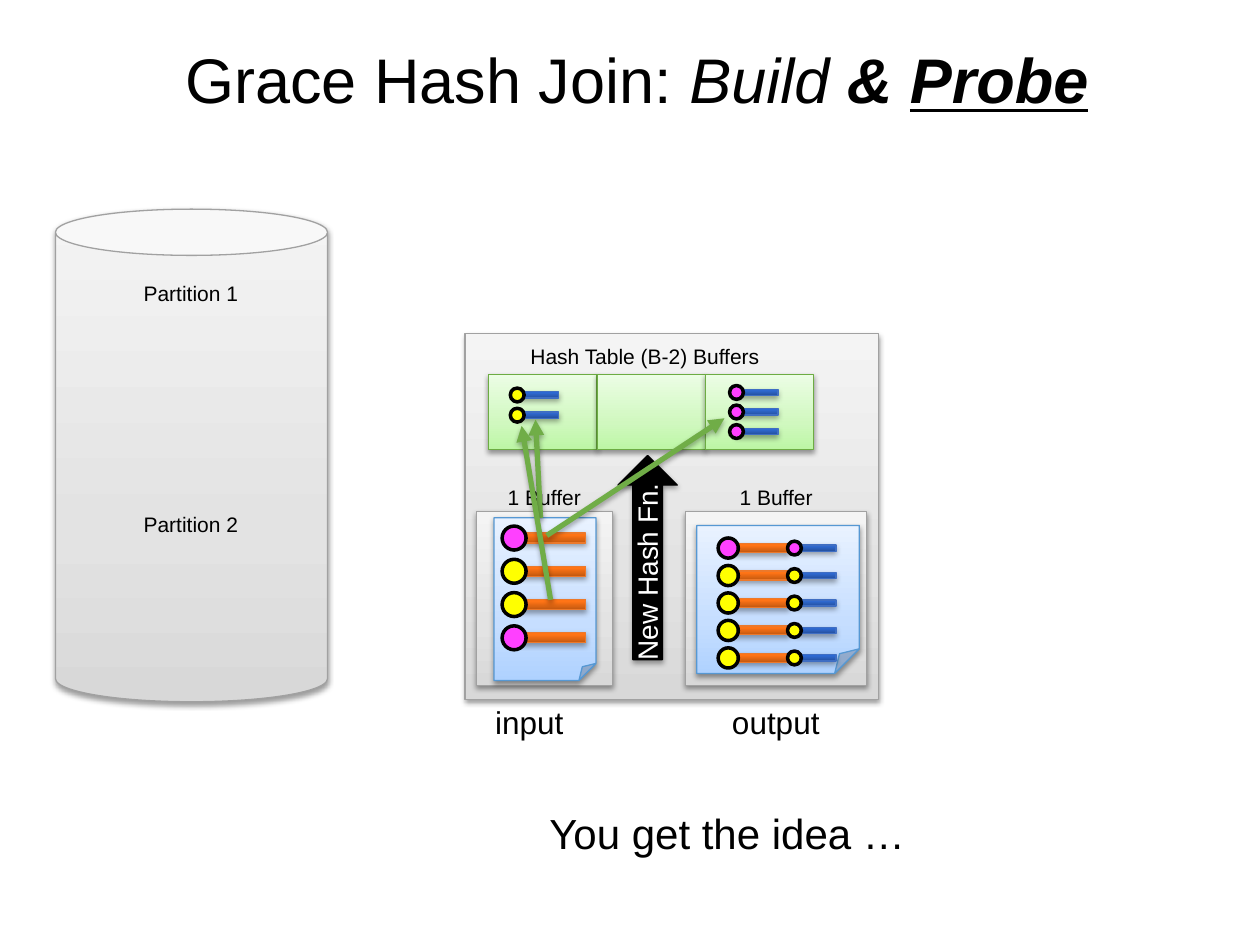
from dataclasses import dataclass, field

from lxml.etree import SubElement
from pptx import Presentation
from pptx.dml.color import RGBColor
from pptx.enum.shapes import MSO_CONNECTOR, MSO_SHAPE
from pptx.enum.text import MSO_ANCHOR, PP_ALIGN
from pptx.oxml.ns import qn
from pptx.util import Inches, Pt

# Lengths are columns and rows of a 100 by 75 grid
COLS, ROWS = 100, 75
CELL = Inches(10) / COLS

YELLOW, PINK, BLACK, WHITE = "FFFF00", "FF40FF", "000000", "FFFFFF"


@dataclass(frozen=True)
class Skin:
    """Gradient stops from bottom to top, outline and shadow strength."""
    stops: tuple
    line: str
    alpha: int = 38
    mid: int = 35


GREY = Skin(("D8D8D8", "E3E3E3", "F4F4F4"), "A1A1A1")
GREEN = Skin(("BCF6A4", "D0F8BF", "ECFDE5"), "6DAC43")
PAPER = Skin(("AFD2FF", "C6DEFF", "E9F2FF"), "5698D3")
BLUE = Skin(("24509E", "2F69D0", "2C69D4"), "3F6EC3", 35, 80)
ORANGE = Skin(("C3580F", "FF7416", "FF7517"), "EC792B", 35, 80)


@dataclass(frozen=True)
class Kind:
    """A record: a ball with a bar that starts at its centre."""
    skin: Skin
    ball: float
    long: float
    thick: float


SMALL = Kind(BLUE, 1.1, 3.3, 0.5)
LARGE = Kind(ORANGE, 1.9, 5.7, 0.8)
MEDIUM = Kind(ORANGE, 1.6, 4.8, 0.7)


@dataclass(frozen=True)
class Stack:
    """Evenly spaced records; x is the ball centre, y the first row."""
    kind: Kind
    x: float
    y: float
    step: float
    balls: tuple


@dataclass(frozen=True)
class Label:
    box: tuple
    runs: tuple
    size: int = 12
    color: str = BLACK
    wrap: bool = False
    align: PP_ALIGN = PP_ALIGN.LEFT
    turn: int = 0
    extra: dict = field(default_factory=dict)


def cells(*nums: float) -> list:
    return [round(n * CELL) for n in nums]


def paint(color, code: str) -> None:
    color.rgb = RGBColor.from_string(code)


def shade(shape, alpha: int) -> None:
    """Give a shape or connector a soft shadow below it."""
    props = shape._element.spPr
    effects = props.find(qn("a:effectLst"))
    if effects is None:
        effects = SubElement(props, qn("a:effectLst"))
    shadow = SubElement(effects, qn("a:outerShdw"), blurRad=str(Pt(3)),
                        dist=str(Pt(1.6)), dir="5400000", rotWithShape="0")
    tint = SubElement(shadow, qn("a:srgbClr"), val=BLACK)
    SubElement(tint, qn("a:alpha"), val=str(alpha * 1000))


def blend(fill, shape, skin: Skin) -> None:
    fill.gradient()
    fill.gradient_angle = 90
    stops = shape._element.spPr.find(qn("a:gradFill")).find(qn("a:gsLst"))
    for old in list(stops):
        stops.remove(old)
    for spot, code in zip((0, skin.mid, 100), skin.stops):
        stop = SubElement(stops, qn("a:gs"), pos=str(spot * 1000))
        SubElement(stop, qn("a:srgbClr"), val=code)


def block(slide, form, box: tuple, skin: Skin):
    shape = slide.shapes.add_shape(form, *cells(*box))
    shape.shadow.inherit = False
    blend(shape.fill, shape, skin)
    paint(shape.line.color, skin.line)
    shape.line.width = Pt(0.75)
    shade(shape, skin.alpha)
    return shape


def solid(slide, form, box: tuple, code: str, width: float):
    shape = slide.shapes.add_shape(form, *cells(*box))
    shape.shadow.inherit = False
    shape.fill.solid()
    paint(shape.fill.fore_color, code)
    paint(shape.line.color, BLACK)
    shape.line.width = Pt(width)
    return shape


def stack(slide, item: Stack) -> None:
    kind = item.kind
    for row, code in enumerate(item.balls):
        y = item.y + row * item.step
        half = kind.ball / 2
        block(slide, MSO_SHAPE.RECTANGLE,
              (item.x, y - kind.thick / 2, kind.long, kind.thick), kind.skin)
        solid(slide, MSO_SHAPE.OVAL,
              (item.x - half, y - half, kind.ball, kind.ball), code, 2)


def arrow(slide, ends: tuple) -> None:
    link = slide.shapes.add_connector(MSO_CONNECTOR.STRAIGHT, *cells(*ends))
    paint(link.line.color, "70AD47")
    link.line.width = Pt(3)
    SubElement(link.line._get_or_add_ln(), qn("a:tailEnd"), type="triangle")
    shade(link, 35)


def write(slide, label: Label) -> None:
    box = slide.shapes.add_textbox(*cells(*label.box))
    box.rotation = label.turn
    frame = box.text_frame
    layout = {"word_wrap": label.wrap, **label.extra}
    for side in ("left", "top", "right", "bottom"):
        layout[f"margin_{side}"] = Inches(0.05)
    for name, value in layout.items():
        setattr(frame, name, value)
    para = frame.paragraphs[0]
    para.alignment = label.align
    for text, style in label.runs:
        run = para.add_run()
        run.text = text
        looks = {"name": "Arial", "size": Pt(label.size), **style}
        for name, value in looks.items():
            setattr(run.font, name, value)
        paint(run.font.color, label.color)


STACKS = (
    Stack(SMALL, 41.05, 31.35, 1.6, (YELLOW,) * 2),
    Stack(SMALL, 58.45, 31.15, 1.55, (PINK,) * 3),
    Stack(LARGE, 40.8, 42.7, 2.64, (PINK, YELLOW, YELLOW, PINK)),
    Stack(MEDIUM, 57.8, 43.5, 2.18, (PINK,) + (YELLOW,) * 4),
    Stack(SMALL, 63.05, 43.5, 2.18, (PINK,) + (YELLOW,) * 4),
)
ARROWS = ((43.4, 42.5, 57.5, 33.2), (42.9, 41.1, 42.5, 33.3),
          (43.7, 47.6, 41.4, 33.8))
BUFFERS = ((37.8, 10.8), (54.4, 14.4))
PAPERS = ((39.2, 41.1, 8.1, 12.9), (55.3, 41.7, 12.9, 11.75))
LABELS = (
    Label((14.2, 0, 78.3, 12.5), (
        ("Grace Hash Join: ", {}),
        ("Build ", {"italic": True}),
        ("& ", {"italic": True, "bold": True}),
        ("Probe", {"italic": True, "bold": True, "underline": True}),
    ), 36, wrap=True, extra={"vertical_anchor": MSO_ANCHOR.MIDDLE}),
    Label((41.6, 26.8, 19.2, 2.9), (("Hash Table (B-2) Buffers", {}),)),
    Label((42.8, 42.8, 16.8, 3.4), (("New Hash Fn.", {}),), 16, WHITE,
          wrap=True, turn=270),
    Label((43.1, 63.6, 29.5, 4.9), (("You get the idea …", {}),), 24),
    Label((10.9, 21.8, 8.7, 2.9), (("Partition 1", {}),)),
    Label((10.9, 40.1, 8.7, 2.9), (("Partition 2", {}),)),
    Label((38.8, 55.3, 6.7, 4), (("input", {}),), 18),
    Label((57.6, 55.3, 8.4, 4), (("output", {}),), 18),
)


def main() -> None:
    deck = Presentation()
    deck.slide_width, deck.slide_height = cells(COLS, ROWS)
    slide = deck.slides.add_slide(deck.slide_layouts[6])

    # Disk and memory
    disk = block(slide, MSO_SHAPE.CAN, (4.4, 16.6, 21.6, 39.1), GREY)
    disk.adjustments[0] = 0.17
    block(slide, MSO_SHAPE.RECTANGLE, (36.9, 26.5, 32.8, 29), GREY)

    # Hash table, then the input and output buffers
    for col in range(3):
        block(slide, MSO_SHAPE.RECTANGLE,
              (38.8 + col * 8.6, 29.7, 8.6, 6), GREEN)
    for left, wide in BUFFERS:
        block(slide, MSO_SHAPE.RECTANGLE, (left, 40.6, wide, 13.8), GREY)
        write(slide, Label((left, 38, wide, 2.9), (("1 Buffer", {}),),
                           wrap=True, align=PP_ALIGN.CENTER))
    for box in PAPERS:
        block(slide, MSO_SHAPE.FOLDED_CORNER, box, PAPER)

    # Hash function
    pointer = solid(slide, MSO_SHAPE.RIGHT_ARROW, (43.3, 41.9, 16.2, 4.7),
                    BLACK, 0.75)
    pointer.rotation = 270
    shade(pointer, 35)

    # Records, matches and wording
    for item in STACKS:
        stack(slide, item)
    for ends in ARROWS:
        arrow(slide, ends)
    for label in LABELS:
        write(slide, label)
    deck.save("out.pptx")


if __name__ == "__main__":
    main()
